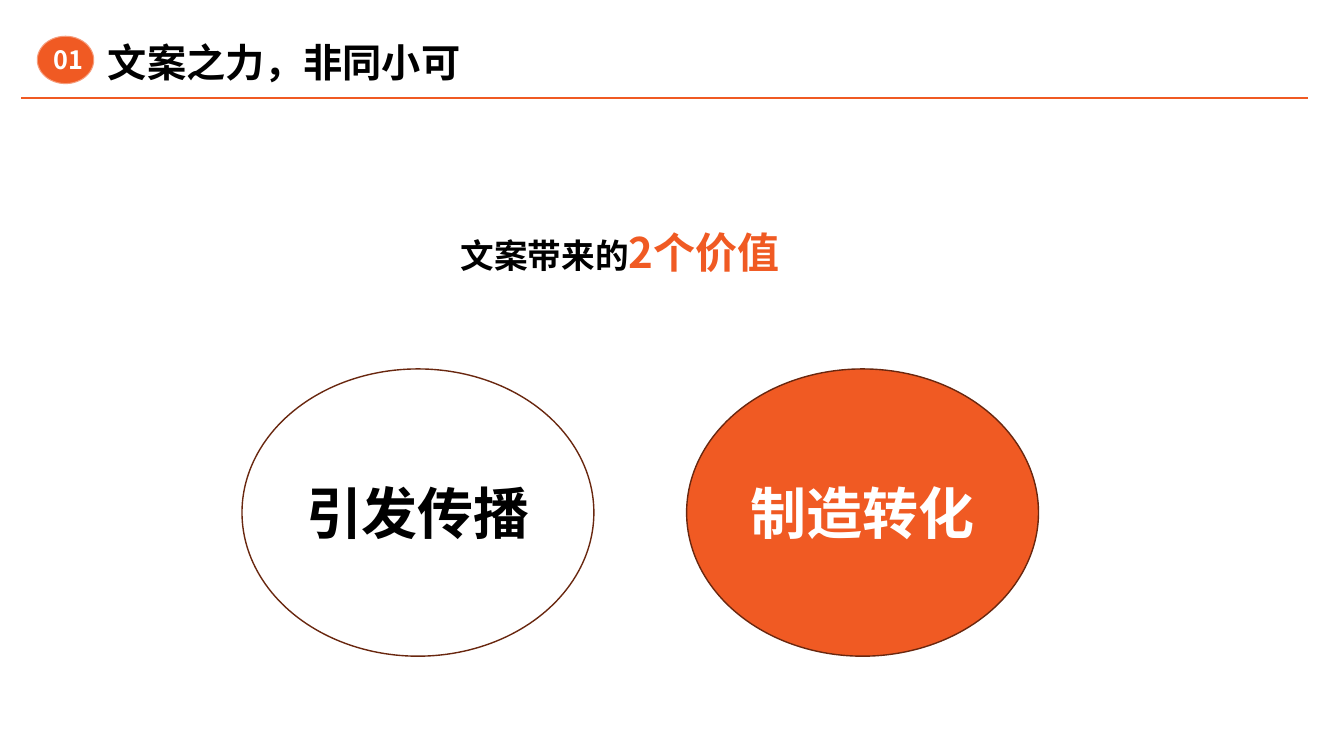
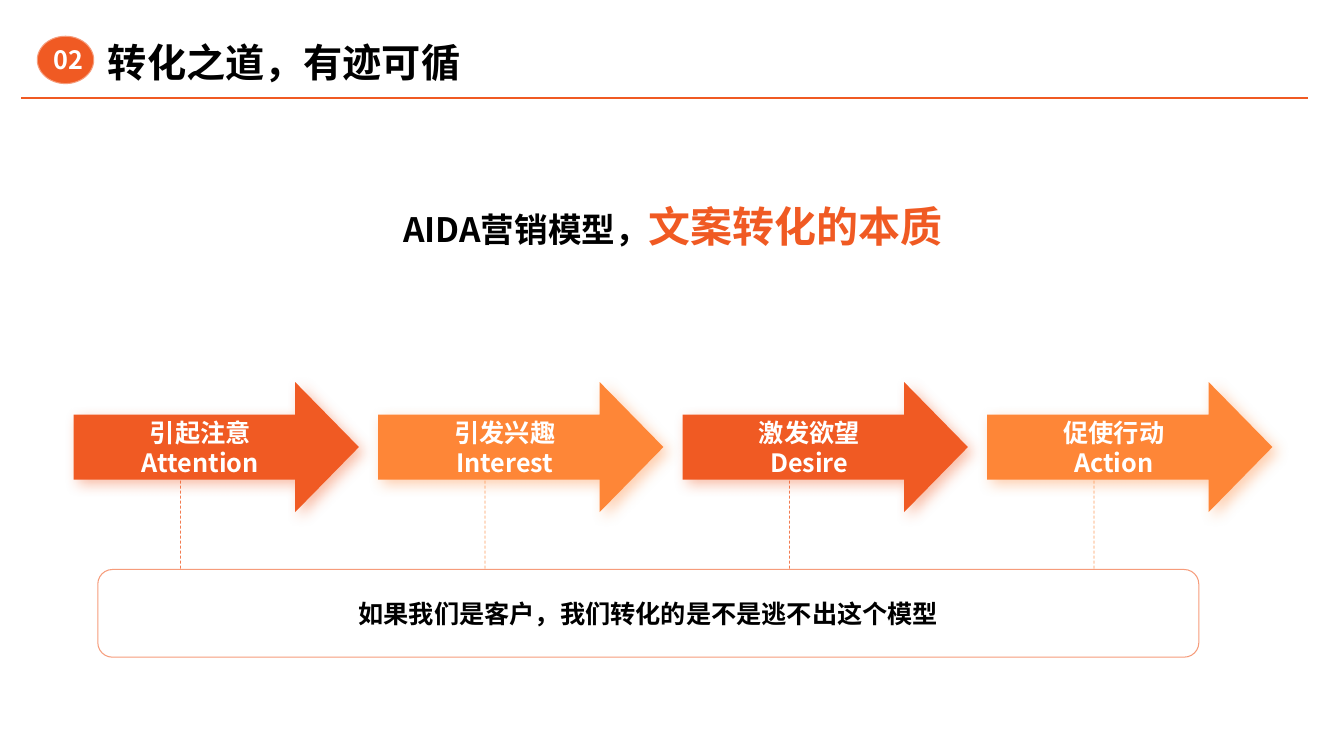
"""Build two slides on what copywriting brings and how it converts."""
from dataclasses import dataclass
from typing import Any

from lxml import etree
from pptx import Presentation
from pptx.dml.color import RGBColor
from pptx.enum import dml, shapes, text
from pptx.oxml import ns
from pptx.util import Inches, Pt

KIND = shapes.MSO_SHAPE
MID = text.MSO_ANCHOR.MIDDLE
LEFT, CENTER = text.PP_ALIGN.LEFT, text.PP_ALIGN.CENTER


@dataclass(frozen=True)
class Theme:
    """Colours, type sizes and the font of the deck."""
    main: str = "F05A23"
    warm: str = "FE8637"
    pale: str = "F69C7B"
    dark: str = "69270F"
    ink: str = "000000"
    white: str = "FFFFFF"
    font: str = "Noto Sans CJK SC"
    title: int = 28
    lead: int = 24
    key: int = 30
    huge: int = 40
    base: int = 18


@dataclass(frozen=True)
class Box:
    """A place on the slide in inches."""
    x: float
    y: float
    w: float
    h: float

    def shift(self, step: float) -> "Box":
        """Return the box moved to the right."""
        return Box(self.x + step, self.y, self.w, self.h)

    def spans(self) -> list[int]:
        """Return left, top, width and height as lengths."""
        return [Inches(n) for n in (self.x, self.y, self.w, self.h)]


@dataclass(frozen=True)
class Run:
    """A piece of text with its size and colour."""
    words: str
    size: int
    tint: str


@dataclass(frozen=True)
class Disc:
    """A value shown in an ellipse."""
    label: str
    fill: str
    tint: str


@dataclass(frozen=True)
class Step:
    """A stage of the model, in two languages."""
    local: str
    latin: str
    fill: str


T = Theme()
TITLE = Box(1.07, 0.36, 5.64, 0.5)
BADGE = Box(0.37, 0.36, 0.56, 0.47)
COUNT = Box(0.31, 0.39, 0.74, 0.4)
DISC, DISC_GAP = Box(2.4, 3.66, 3.49, 2.85), 4.41
ARROW, ARROW_GAP = Box(0.73, 3.79, 2.83, 1.29), 3.02
DISCS = [Disc("引发传播", T.white, T.ink), Disc("制造转化", T.main, T.white)]
STEPS = [
    Step("引起注意", "Attention", T.main),
    Step("引发兴趣", "Interest", T.warm),
    Step("激发欲望", "Desire", T.main),
    Step("促使行动", "Action", T.warm),
]


def apply(item: Any, looks: dict[str, Any]) -> None:
    """Set each named format value on an item."""
    for name, value in looks.items():
        setattr(item, name, value)


def add(node: Any, tag: str, **attrs: str) -> Any:
    """Append a child element in the drawing namespace."""
    return etree.SubElement(node, ns.qn(tag), attrs)


def write(frame: Any, rows: list[list[Run]], align: Any = CENTER, **looks: Any) -> None:
    """Fill a text frame with one paragraph for each row of runs."""
    apply(frame, {"word_wrap": True, **looks})
    for i, row in enumerate(rows):
        para = frame.add_paragraph() if i else frame.paragraphs[0]
        para.alignment = align
        for part in row:
            run = para.add_run()
            run.text = part.words
            apply(run.font, {"size": Pt(part.size), "bold": True, "name": T.font})
            run.font.color.rgb = RGBColor.from_string(part.tint)
            add(run.font._element, "a:ea", typeface=T.font)


def label(slide: Any, box: Box, row: list[Run], **looks: Any) -> Any:
    """Add a text box of one paragraph and return its frame."""
    frame = slide.shapes.add_textbox(*box.spans()).text_frame
    write(frame, [row], **looks)
    return frame


def shape(slide: Any, kind: Any, box: Box, fill: str, edge: str = "", width: float = 0) -> Any:
    """Add a filled shape, with an outline if an edge colour is given."""
    item = slide.shapes.add_shape(kind, *box.spans())
    item.shadow.inherit = False
    item.fill.solid()
    item.fill.fore_color.rgb = RGBColor.from_string(fill)
    if edge:
        item.line.color.rgb = RGBColor.from_string(edge)
        item.line.width = Pt(width)
    else:
        item.line.fill.background()
    return item


def line(slide: Any, start: tuple[float, float], end: tuple[float, float],
         tint: str, width: float) -> Any:
    """Add a straight line without a shadow."""
    ends = [Inches(n) for n in (*start, *end)]
    item = slide.shapes.add_connector(shapes.MSO_CONNECTOR.STRAIGHT, *ends)
    item.line.color.rgb = RGBColor.from_string(tint)
    item.line.width = Pt(width)
    add(item._element.spPr, "a:effectLst")
    return item


def glow(item: Any, tint: str) -> None:
    """Give a shape a soft coloured shadow."""
    list_ = item._element.spPr.find(ns.qn("a:effectLst"))
    cast = add(list_, "a:outerShdw", blurRad=str(Pt(10)), dist=str(Pt(5)),
               dir="2700000", algn="tl", rotWithShape="0")
    add(add(cast, "a:srgbClr", val=tint), "a:alpha", val="40000")


def dress(layout: Any, slide: Any) -> None:
    """Put the shared rule, badge and title place on the layout."""
    rule = line(slide, (0.21, 0.97), (12.97, 0.97), T.main, 1.5)
    badge = shape(slide, KIND.FLOWCHART_CONNECTOR, BADGE, T.main, T.pale, 0.75)
    for item in (rule, badge):
        layout.shapes.element.append(item.element)
    names = ("left", "top", "width", "height")
    apply(layout.placeholders[0], dict(zip(names, TITLE.spans())))


def head(slide: Any, count: str, name: str) -> None:
    """Write the title and the number in the badge."""
    sides = dict.fromkeys(
        ("margin_left", "margin_top", "margin_right", "margin_bottom"), 0)
    write(slide.shapes.title.text_frame, [[Run(name, T.title, T.ink)]], LEFT,
          vertical_anchor=MID, auto_size=text.MSO_AUTO_SIZE.NONE, **sides)
    label(slide, COUNT, [Run(count, T.base, T.white)])


def worth(slide: Any) -> None:
    """Draw the two values as ellipses."""
    for i, disc in enumerate(DISCS):
        item = shape(slide, KIND.OVAL, DISC.shift(i * DISC_GAP), disc.fill, T.dark, 1)
        write(item.text_frame, [[Run(disc.label, T.huge, disc.tint)]], vertical_anchor=MID)
    row = [Run("文案带来的", T.lead, T.ink), Run("2个价值", T.key, T.main)]
    frame = label(slide, Box(4.47, 2.25, 4.4, 0.72), row, align=LEFT)
    frame.paragraphs[0].line_spacing = 0.9


def model(slide: Any) -> None:
    """Draw the four stages as arrows above a closing remark."""
    row = [Run("AIDA营销模型，", T.lead, T.ink), Run("文案转化的本质", T.key, T.main)]
    label(slide, Box(1.87, 1.91, 9.61, 0.63), row,
          vertical_anchor=text.MSO_ANCHOR.BOTTOM)
    for i, step in enumerate(STEPS):
        box = ARROW.shift(i * ARROW_GAP)
        x = box.x + 1.06
        stem = line(slide, (x, 4.62), (x, 6.03), step.fill, 0.5)
        stem.line.dash_style = dml.MSO_LINE.DASH
        tint = stem.line._ln.find(".//" + ns.qn("a:srgbClr"))
        add(tint, "a:alpha", val="80000")
        item = shape(slide, KIND.RIGHT_ARROW, box, step.fill)
        item.adjustments[1] = 0.49
        glow(item, step.fill)
        rows = [[Run(words, T.base, T.white)] for words in (step.local, step.latin)]
        write(item.text_frame, rows, vertical_anchor=MID)
    note = shape(slide, KIND.ROUNDED_RECTANGLE, Box(0.97, 5.65, 10.92, 0.87),
                 T.white, T.pale, 0.75)
    words = "如果我们是客户，我们转化的是不是逃不出这个模型"
    write(note.text_frame, [[Run(words, T.base, T.ink)]], vertical_anchor=MID)


def main() -> None:
    """Build and save the deck."""
    deck = Presentation()
    apply(deck, {"slide_width": Inches(13.33), "slide_height": Inches(7.5)})
    layout = deck.slide_layouts[5]
    pages = [("01", "文案之力，非同小可", worth), ("02", "转化之道，有迹可循", model)]
    for i, (count, name, draw) in enumerate(pages):
        slide = deck.slides.add_slide(layout)
        if not i:
            dress(layout, slide)
        head(slide, count, name)
        draw(slide)
    deck.save("out.pptx")


if __name__ == "__main__":
    main()
